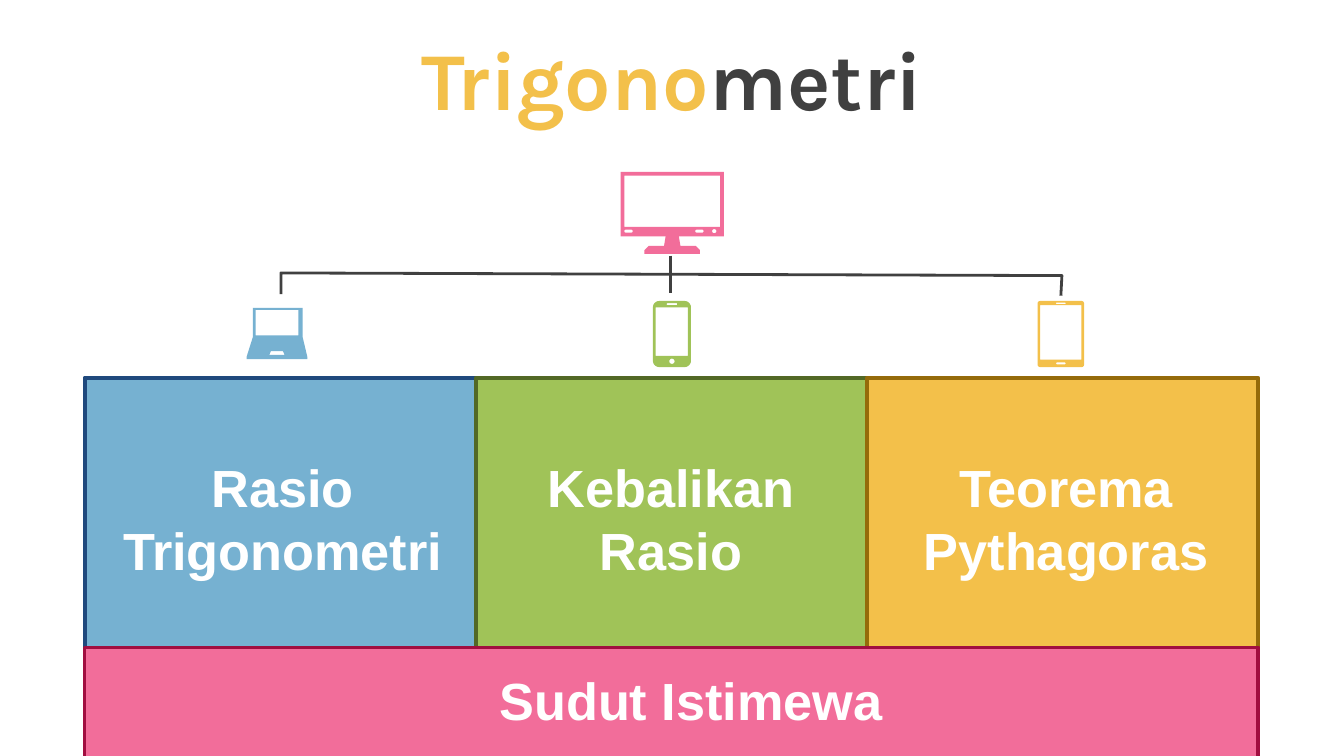
from math import cos, pi, sin
from lxml.etree import SubElement
from pptx import Presentation as Deck
from pptx.dml.color import RGBColor as Rgb
from pptx.enum.shapes import MSO_CONNECTOR as Conn, MSO_SHAPE as Kind
from pptx.enum.text import MSO_ANCHOR as Anchor, PP_ALIGN as Align
from pptx.oxml.ns import qn
from pptx.util import Cm, Pt

BLUE, GREEN, GOLD, PINK = "76B1D1", "A0C358", "F3C04A", "F26D9A"
DARK, WHITE = "404040", "FFFFFF"


def tint(part, color):
    part.rgb = Rgb.from_string(color)


def style(item, values):
    for name, value in values.items():
        setattr(item, name, value)


def paint(shape, fill=None, edge=None, width=2):
    shape.shadow.inherit = False
    if fill:
        shape.fill.solid()
        tint(shape.fill.fore_color, fill)
    else:
        shape.fill.background()
    if edge:
        tint(shape.line.color, edge)
        shape.line.width = Pt(width)
    else:
        shape.line.fill.background()


def write(slide, box, runs, size, face, anchor=Anchor.TOP):
    frame = slide.shapes.add_textbox(*map(Cm, box)).text_frame
    style(frame, {"word_wrap": True, "vertical_anchor": anchor})
    para = frame.paragraphs[0]
    para.alignment = Align.CENTER
    for text, color in runs:
        run = para.add_run()
        run.text = text
        style(run.font, {"size": Pt(size), "name": face, "bold": True})
        tint(run.font.color, color)


def block(slide, box, fill, edge):
    paint(slide.shapes.add_shape(Kind.RECTANGLE, *map(Cm, box)), fill, edge)


def oval(left, top, right, base, rad):
    mids = [(right - rad, base - rad), (left + rad, base - rad),
            (left + rad, top + rad), (right - rad, top + rad)]
    return [(x + rad * cos(turn), y + rad * sin(turn))
            for side, (x, y) in enumerate(mids)
            for turn in [(side + step / 6) * pi / 2 for step in range(7)]]


def pane(left, top, right, base):
    return [(left, top), (right, top), (right, base), (left, base)]


def trace(slide, spot, loops, close=True):
    left, top = spot
    sets = [[(Cm(left + x), Cm(top + y)) for x, y in loop] for loop in loops]
    pen = slide.shapes.build_freeform(*sets[0][0], scale=1.0)
    for index, loop in enumerate(sets):
        if index:
            pen.move_to(*loop[0])
        pen.add_line_segments(loop[1:], close=close)
    return pen.convert_to_shape()


def laptop(slide, spot):
    case = [(0.12, 0), (1.06, 0), (1.06, 0.55), (1.15, 0.93),
            (1.15, 0.97), (0, 0.97), (0, 0.93), (0.12, 0.55)]
    pad = [(0.46, 0.82), (0.69, 0.82), (0.72, 0.89), (0.43, 0.89)]
    paint(trace(slide, spot, [case, pane(0.17, 0.04, 0.98, 0.52), pad]), BLUE)


def phone(slide, spot):
    loops = [oval(0, 0, 0.72, 1.25, 0.12), pane(0.05, 0.12, 0.66, 1.04),
             oval(0.31, 1.09, 0.41, 1.19, 0.05),
             oval(0.26, 0.04, 0.46, 0.08, 0.02)]
    paint(trace(slide, spot, loops), GREEN)


def tablet(slide, spot):
    loops = [oval(0, 0, 0.88, 1.25, 0.05), pane(0.05, 0.08, 0.83, 1.11),
             oval(0.35, 1.16, 0.53, 1.2, 0.02),
             oval(0.35, 0.03, 0.53, 0.06, 0.01)]
    paint(trace(slide, spot, loops), GOLD)


def screen(slide, spot):
    half = [(1.95, 0), (1.95, 1.22), (1.1, 1.22), (1.13, 1.4),
            (1.42, 1.4), (1.5, 1.48), (1.5, 1.55)]
    case = half + [(1.95 - x, y) for x, y in reversed(half)]
    loops = [case, pane(0.07, 0.07, 1.88, 1.04),
             oval(0.07, 1.09, 0.23, 1.15, 0.03),
             oval(1.41, 1.09, 1.57, 1.15, 0.03),
             oval(1.73, 1.08, 1.81, 1.16, 0.04)]
    paint(trace(slide, spot, loops), PINK)


def tree(slide, spot):
    left, top = spot
    arms = [(0, 0.4), (0, 0), (14.76, 0.05), (14.74, 0.43)]
    paint(trace(slide, spot, [arms], close=False), edge=DARK, width=1.5)
    mid = left + 7.36
    stem = slide.shapes.add_connector(
        Conn.STRAIGHT, *map(Cm, (mid, top - 0.33, mid, top + 0.38)))
    tint(stem.line.color, DARK)
    stem.line.width = Pt(1.5)
    SubElement(stem._element.spPr, qn("a:effectLst"))


def board(slide, box):
    left, top, width, height = box
    wide = width / 3
    cols = [("Rasio Trigonometri", BLUE, "1F497D", 0.3, 6.88),
            ("Kebalikan Rasio", GREEN, "526825", 1.06, 5.26),
            ("Teorema Pythagoras", GOLD, "956B0A", 0.7, 6.12)]
    for index, (text, fill, edge, shift, span) in enumerate(cols):
        x = left + index * wide
        block(slide, (x, top, wide, height), fill, edge)
        write(slide, (x + shift, top + 1.34, span, 2.64),
              [(text, WHITE)], 28, "Arial")
    block(slide, (left, top + 5.1, width, 2.13), PINK, "A10E40")
    write(slide, (left + 5.87, top + 5.36, 11.18, 1.45),
          [("Sudut Istimewa", WHITE)], 28, "Arial")


def main():
    deck = Deck()
    style(deck, {"slide_width": Cm(25.4), "slide_height": Cm(14.29)})
    slide = deck.slides.add_slide(deck.slide_layouts[6])
    write(slide, (0, 0.38, 25.4, 2.16),
          [("Trigono", GOLD), ("metri", DARK)], 44, "Karla", Anchor.MIDDLE)
    laptop(slide, (4.66, 5.82))
    phone(slide, (12.34, 5.69))
    screen(slide, (11.73, 3.25))
    tablet(slide, (19.61, 5.69))
    tree(slide, (5.31, 5.16))
    board(slide, (1.6, 7.14, 22.18, 7.14))
    deck.save("out.pptx")


if __name__ == "__main__":
    main()
